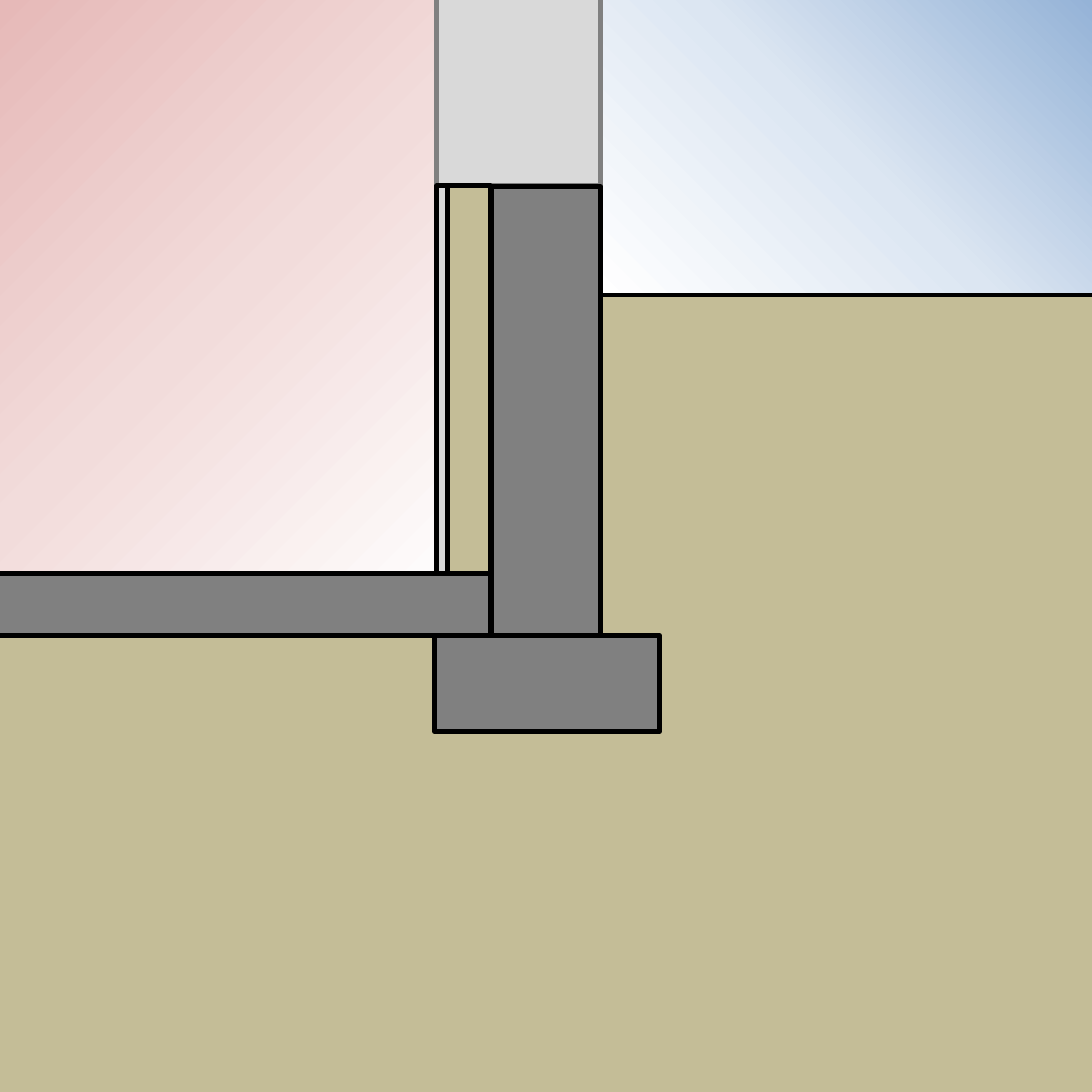
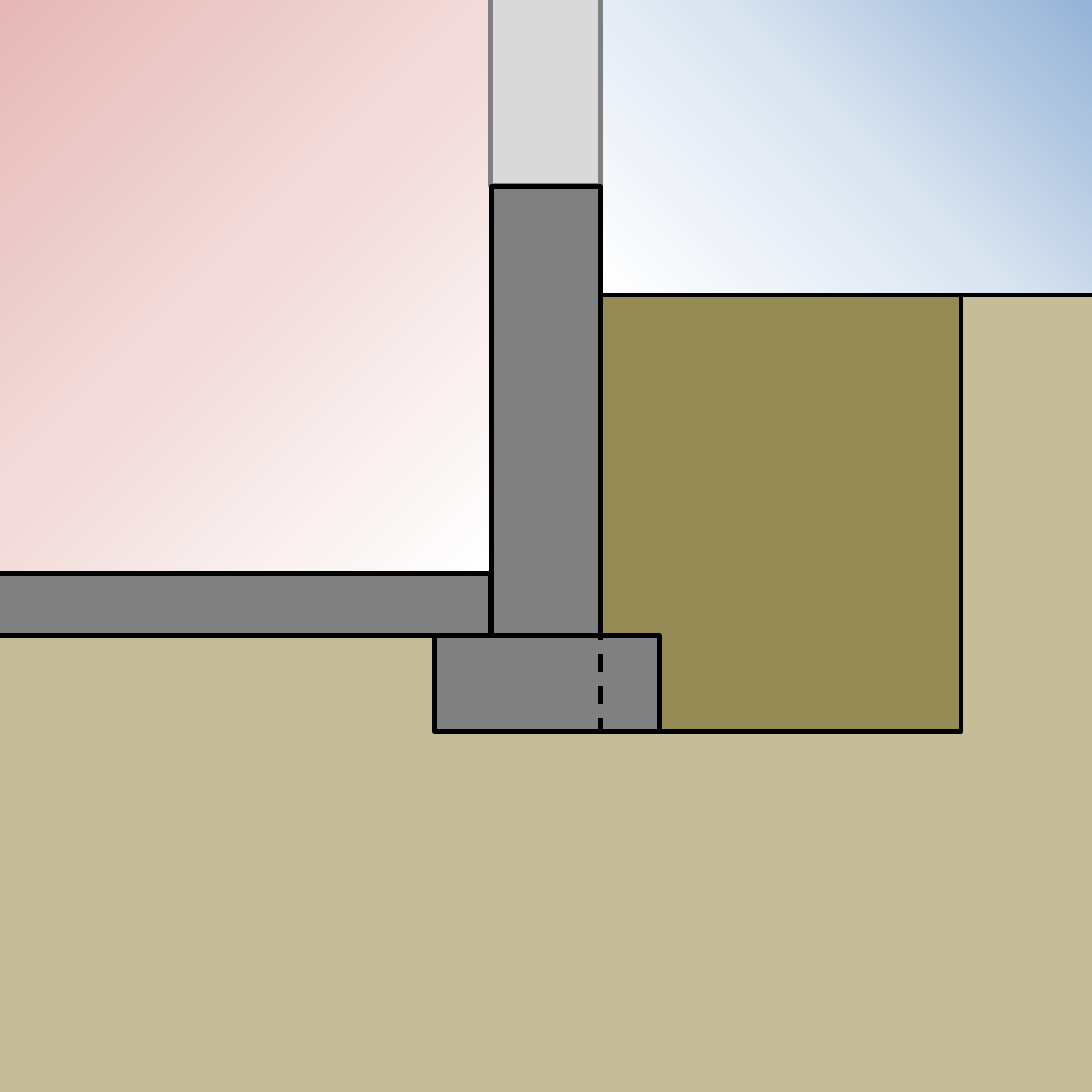
import copy
from dataclasses import dataclass

import pptx
import pptx.dml.color
import pptx.enum.dml
import pptx.enum.shapes
import pptx.oxml
import pptx.oxml.ns
import pptx.util

PX = 9144  # EMU in one px, 100 px to the inch
SIDE = 1000  # slide width and height
GRADE = 270  # ground level outdoors
FLOOR = 525  # top of the slab
WALL_TOP = 170
FOOTING_TOP = 582
OUTER_FACE = 550  # outer face of the wall


@dataclass(frozen=True)
class Theme:
    ink: str = "000000"
    edge: str = "808080"
    concrete: str = "808080"
    framing: str = "D9D9D9"
    soil: str = "C4BD97"
    backfill: str = "948A54"
    sky: tuple = ("95B3D7", "DCE6F2", "FFFFFF")
    room: tuple = ("FFFFFF", "F2DCDB", "E6B9B8")
    stroke: float = 3


THEME = Theme()


def rgb(value):
    return pptx.dml.color.RGBColor.from_string(value)


def set_format(target, values):
    for name, value in values.items():
        setattr(target, name, value)


def set_line(line, color, dash=None):
    line.color.rgb = rgb(color)
    set_format(line, {"width": pptx.util.Pt(THEME.stroke), "dash_style": dash})


def set_gradient(fill, colors, angle):
    """Spread the colours evenly; the angle runs counter-clockwise."""
    fill.gradient()
    fill.gradient_angle = angle
    stops = fill._fill._gradFill.find(pptx.oxml.ns.qn("a:gsLst"))
    while len(stops) < len(colors):
        stops.append(copy.deepcopy(stops[0]))
    for i, (stop, color) in enumerate(zip(fill.gradient_stops, colors)):
        stop.color.rgb = rgb(color)
        stop.position = i / (len(colors) - 1)


def add_box(s, box, fill=None, line=None, dash=None, angle=0, turned=False):
    """Box is left, top, width, height as seen; turned rests it on its side."""
    x, y, w, h = box
    if turned:
        x, y, w, h = x + (w - h) / 2, y + (h - w) / 2, h, w
    sp = s.shapes.add_shape(
        pptx.enum.shapes.MSO_SHAPE.RECTANGLE,
        *(round(v * PX) for v in (x, y, w, h)))
    set_format(sp, {"rotation": 270 if turned else 0})
    sp.shadow.inherit = False
    if fill is None:
        sp.fill.background()
    elif isinstance(fill, tuple):
        set_gradient(sp.fill, fill, angle)
    else:
        sp.fill.solid()
        sp.fill.fore_color.rgb = rgb(fill)
    if line:
        set_line(sp.line, line, dash)
    else:
        sp.line.fill.background()


def add_line(s, x1, y1, x2, y2):
    cxn = s.shapes.add_connector(
        pptx.enum.shapes.MSO_CONNECTOR.STRAIGHT,
        *(v * PX for v in (x1, y1, x2, y2)))
    set_line(cxn.line, THEME.ink)
    cxn._element.spPr.append(pptx.oxml.parse_xml(
        f"<a:effectLst {pptx.oxml.ns.nsdecls('a')}/>"))


def add_surroundings(s):
    add_box(s, (OUTER_FACE, 0, SIDE - OUTER_FACE, GRADE), THEME.sky, angle=225)
    add_box(s, (0, GRADE, SIDE, SIDE - GRADE), THEME.soil)
    add_line(s, OUTER_FACE, GRADE, SIDE, GRADE)
    add_box(s, (0, 0, 450, FLOOR), THEME.room, angle=135)


def add_structure(s, framing_left):
    # Framed wall above, then slab and basement wall
    add_box(s, (framing_left, -20, OUTER_FACE - framing_left, 190),
            THEME.framing, THEME.edge)
    for box in ((-150, FLOOR, 599, FOOTING_TOP - FLOOR),
                (450, 171, 100, FOOTING_TOP - 171)):
        add_box(s, box, THEME.concrete, THEME.ink)


def add_footing(s):
    add_box(s, (398, FOOTING_TOP, 206, 88), THEME.concrete, THEME.ink)


def add_section(prs, framing_left):
    s = prs.slides.add_slide(prs.slide_layouts[6])
    add_surroundings(s)
    add_structure(s, framing_left)
    return s


def main():
    prs = pptx.Presentation()
    set_format(prs, {"slide_width": SIDE * PX, "slide_height": SIDE * PX})

    # Wall insulated on the inside: insulation, then drywall
    s = add_section(prs, framing_left=400)
    add_footing(s)
    for left, width, fill in ((410, 39, THEME.soil), (400, 10, THEME.framing)):
        add_box(s, (left, WALL_TOP, width, FLOOR - WALL_TOP), fill, THEME.ink,
                turned=True)

    # Excavated wall: backfill, with its outline dashed across the footing
    s = add_section(prs, framing_left=449)
    trench = (OUTER_FACE, GRADE, 330, 400)
    add_box(s, trench, THEME.backfill, THEME.ink, turned=True)
    add_footing(s)
    add_box(s, trench, line=THEME.ink, turned=True,
            dash=pptx.enum.dml.MSO_LINE.DASH)

    prs.save("out.pptx")


if __name__ == "__main__":
    main()
